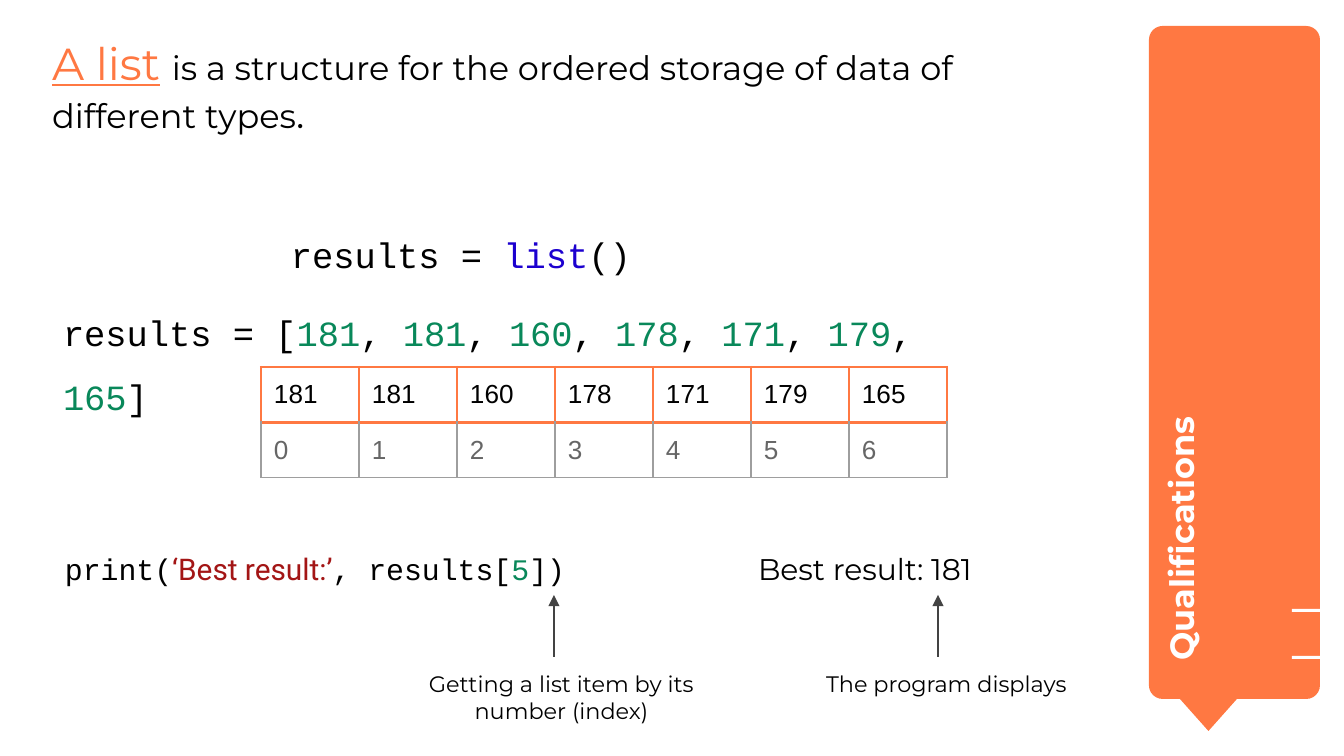
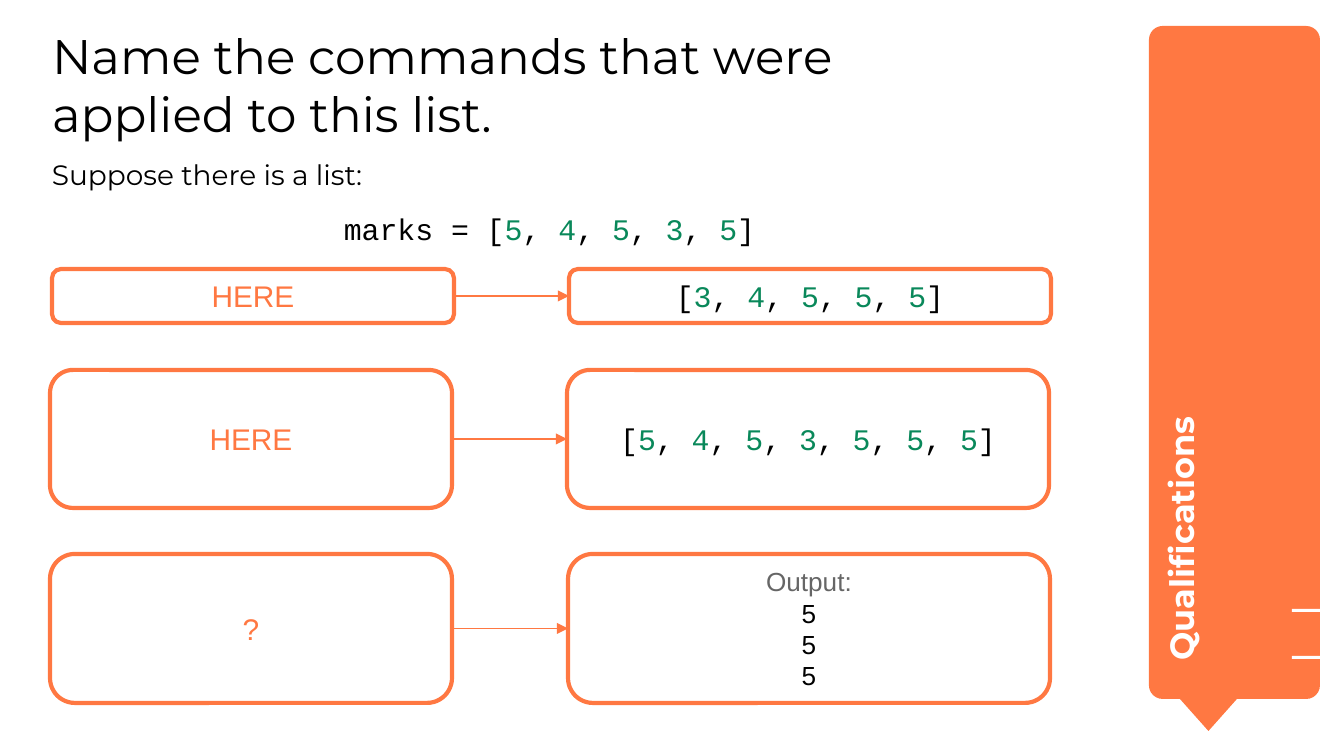
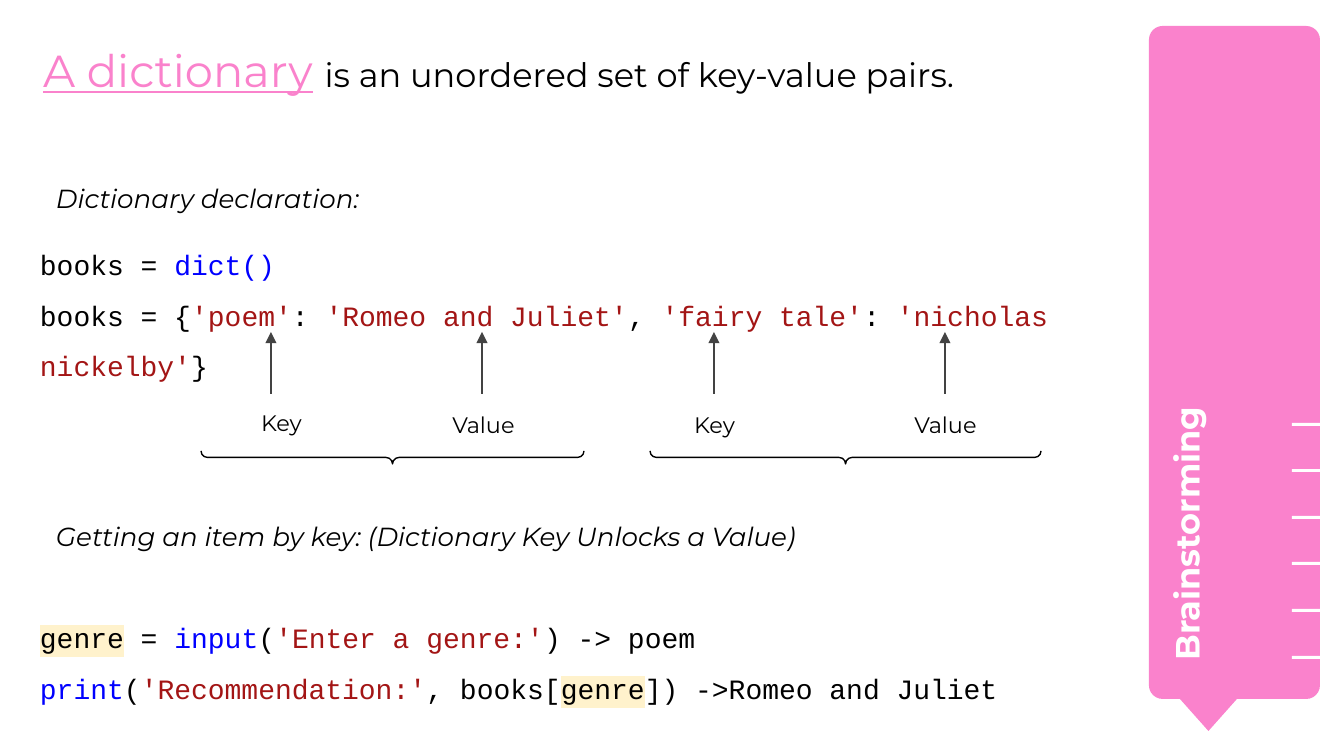
from dataclasses import dataclass, field, replace

from lxml import etree
from pptx import Presentation
from pptx import util as u
from pptx.dml.color import RGBColor
from pptx.enum import shapes, text
from pptx.oxml import ns

SCALE = 914400 / 134.4


@dataclass(frozen=True)
class Theme:
    orange: str = "FF7842"
    pink: str = "FA82CC"
    white: str = "FFFFFF"
    black: str = "000000"
    arrow: str = "434343"
    grid: str = "9E9E9E"
    muted: str = "666666"
    number: str = "09885A"
    string: str = "A31515"
    builtin: str = "1C00CF"
    keyword: str = "0000FF"
    marker: str = "FFF2CC"
    sans: str = "Montserrat"
    plain: str = "Arial"
    mono: str = "Courier New"
    quote: str = "Roboto"
    question: int = 26
    term: int = 24
    full_stop: int = 21
    code_large: int = 19
    body: int = 18
    code: int = 16
    code_small: int = 15
    intro: int = 15
    table: int = 14
    note: int = 14
    caption: int = 12


T = Theme()
INSET = 13
CENTER = text.PP_ALIGN.CENTER
LEFT = text.PP_ALIGN.LEFT


@dataclass(frozen=True)
class Face:
    font: str
    size: int
    color: str = T.black
    bold: bool = False
    italic: bool = False
    underline: bool = False
    highlight: str = ""


@dataclass
class Para:
    runs: list = field(default_factory=list)
    align: object = LEFT
    spacing: float = 1.0
    before: int = 0
    after: int = 0


BODY = Face(T.sans, T.body)
CAPTION = Face(T.sans, T.caption)
NOTE = Face(T.sans, T.note, italic=True)


def px(value):
    return u.Emu(round(value * SCALE))


def box(*values):
    return [px(v) for v in values]


def rgb(color):
    return RGBColor.from_string(color)


def code(size, *pieces):
    face = Face(T.mono, size)
    runs = []
    for piece in pieces:
        if isinstance(piece, str):
            runs.append((piece, face))
        else:
            runs.append((piece[0], replace(face, color=piece[1])))
    return runs


def numbers(*values):
    pieces = ["["]
    for i, value in enumerate(values):
        if i:
            pieces.append(", ")
        pieces.append((str(value), T.number))
    return pieces + ["]"]


def style_run(r, face):
    r.font.size = u.Pt(face.size)
    r.font.bold = face.bold
    r.font.italic = face.italic
    r.font.underline = face.underline
    r.font.color.rgb = rgb(face.color)
    if face.highlight:
        rpr = r.font._element
        mark = etree.Element(ns.qn("a:highlight"))
        etree.SubElement(mark, ns.qn("a:srgbClr"), val=face.highlight)
        rpr.find(ns.qn("a:solidFill")).addnext(mark)
    r.font.name = face.font


def write(tf, paras):
    for i, para in enumerate(paras):
        p = tf.add_paragraph() if i else tf.paragraphs[0]
        p.alignment = para.align
        p.line_spacing = para.spacing
        p.space_before = u.Pt(para.before)
        p.space_after = u.Pt(para.after)
        for words, face in para.runs:
            r = p.add_run()
            r.text = words
            style_run(r, face)


def frame(sp, paras, inset=INSET, anchor=text.MSO_ANCHOR.TOP):
    tf = sp.text_frame
    tf.word_wrap = True
    tf.auto_size = text.MSO_AUTO_SIZE.NONE
    tf.vertical_anchor = anchor
    tf.margin_left = tf.margin_top = tf.margin_right = tf.margin_bottom = px(inset)
    write(tf, paras)


def add_title(slide, place, paras):
    sp = slide.shapes.title
    sp.left, sp.top, sp.width, sp.height = box(*place)
    frame(sp, paras, inset=0)


def add_definition(slide, place, term, color, *rest):
    face = Face(T.sans, T.term)
    runs = [(term, replace(face, color=color, underline=True)), (" ", face), *rest]
    add_title(slide, place, [Para(runs, after=10)])


def add_text(slide, place, *paras):
    sp = slide.shapes.add_textbox(*box(*place))
    frame(sp, paras)
    return sp


def add_code(slide, place, *lines):
    add_text(slide, place, *[Para(runs, spacing=1.5) for runs in lines])


def add_filled(parent, kind, place, color):
    sp = parent.add_shape(kind, *box(*place))
    sp.shadow.inherit = False
    sp.fill.solid()
    sp.fill.fore_color.rgb = rgb(color)
    sp.line.fill.background()
    return sp


def add_band(slide, label, place, color, ticks):
    group = slide.shapes.add_group_shape().shapes
    panel = add_filled(group, shapes.MSO_SHAPE.ROUNDED_RECTANGLE, (1149, 26, 171, 673), color)
    panel.adjustments[0] = 0.08
    add_filled(group, shapes.MSO_SHAPE.FLOWCHART_MERGE, (1164, 681, 89, 50), color)
    first, last, slots = 423, 656, 5
    for i in range(slots + 1 - ticks, slots + 1):
        y = first + (last - first) * i // slots
        add_filled(slide.shapes, shapes.MSO_SHAPE.RECTANGLE, (1292, y, 28, 3), T.white)
    sp = add_text(slide, place, Para([(label, replace(BODY, color=T.white, bold=True))]))
    sp.rotation = 270


def add_arrow(slide, x1, y1, x2, y2, color):
    cn = slide.shapes.add_connector(shapes.MSO_CONNECTOR.STRAIGHT, *box(x1, y1, x2, y2))
    cn.line.color.rgb = rgb(color)
    cn.line.width = u.Pt(0.75)
    etree.SubElement(cn.line._get_or_add_ln(), ns.qn("a:tailEnd"), type="triangle")
    etree.SubElement(cn._element.spPr, ns.qn("a:effectLst"))
    return cn


def add_callout(slide, words, place, arrow_x, arrow_bottom):
    add_text(slide, place, Para([(words, CAPTION)], CENTER))
    add_arrow(slide, arrow_x, arrow_bottom, arrow_x, arrow_bottom - 62, T.arrow)


def add_card(slide, place, *lines):
    sp = add_filled(slide.shapes, shapes.MSO_SHAPE.ROUNDED_RECTANGLE, place, T.white)
    sp.line.color.rgb = rgb(T.orange)
    sp.line.width = u.Pt(2.25)
    frame(sp, [Para(runs, CENTER) for runs in lines], anchor=text.MSO_ANCHOR.MIDDLE)
    return sp


def add_brace(slide, place):
    sp = slide.shapes.add_shape(shapes.MSO_SHAPE.RIGHT_BRACE, *box(*place))
    sp.shadow.inherit = False
    sp.adjustments[0] = sp.adjustments[1] = 0.5
    sp.rotation = 90
    sp.fill.background()
    sp.line.color.rgb = rgb(T.black)
    sp.line.width = u.Pt(0.75)


def set_border(cell, side, color, width):
    ln = etree.SubElement(cell._tc.get_or_add_tcPr(), ns.qn("a:ln" + side), w=str(u.Pt(width)))
    fill = etree.SubElement(ln, ns.qn("a:solidFill"))
    etree.SubElement(fill, ns.qn("a:srgbClr"), val=color)


def add_index_table(slide, left, top, values):
    col, row = 98, 51
    place = box(left, top, col * len(values), row * 2)
    table = slide.shapes.add_table(2, len(values), *place).table
    table.first_row = table.horz_banding = False
    for column in table.columns:
        column.width = px(col)
    heavy, light = (T.orange, 1.5), (T.grid, 0.75)
    rows = ((values, T.black, heavy), (range(len(values)), T.muted, light))
    for i, (items, color, edge) in enumerate(rows):
        for j, item in enumerate(items):
            cell = table.cell(i, j)
            cell.margin_left = cell.margin_right = px(INSET)
            cell.margin_top = cell.margin_bottom = px(INSET)
            for side in "LRTB":
                set_border(cell, side, *(heavy if side == "T" else edge))
            cell.fill.background()
            write(cell.text_frame, [Para([(str(item), Face(T.plain, T.table, color))])])


def build_list_slide(slide):
    scores = (181, 181, 160, 178, 171, 179, 165)
    add_definition(
        slide, (52, 36, 1037, 117), "A list", T.orange,
        ("is a structure for the ordered storage of data of different types", BODY),
        (".", replace(BODY, size=T.full_stop)),
    )
    add_band(slide, "Qualifications", (953, 355, 513, 124), T.orange, 2)
    add_code(slide, (50, 277, 962, 74), code(T.code_large, "results = ", *numbers(*scores)))
    add_index_table(slide, 261, 367, scores)
    quoted = ("‘Best result:’", Face(T.quote, T.code, T.string))
    call = code(T.code, ", results[", ("5", T.number), "])")
    add_code(slide, (52, 520, 614, 74), code(T.code, "print(") + [quoted] + call)
    add_code(slide, (745, 520, 433, 74), [("Best result: 181", Face(T.sans, T.code))])
    for words, left, arrow_x in (
        ("Getting a list item by its number (index)", 380, 554),
        ("The program displays", 765, 938),
    ):
        add_callout(slide, words, (left, 657, 363, 74), arrow_x, 657)
    add_code(slide, (278, 199, 441, 63),
             code(T.code_large, "results = ", ("list", T.builtin), "()"))


def build_commands_slide(slide):
    face = Face(T.sans, T.question)
    lines = ("Name the commands that were", "applied to this list.")
    add_title(slide, (52, 26, 1062, 128), [Para([(line, face)]) for line in lines])
    add_band(slide, "Qualifications", (953, 355, 513, 124), T.orange, 2)
    add_text(
        slide, (39, 145, 1021, 71),
        Para([("Suppose there is a list:", Face(T.sans, T.intro))]),
        Para(code(T.code, "marks = ", *numbers(5, 4, 5, 3, 5)), CENTER, before=10),
    )
    output = [[("Output:", Face(T.plain, T.table, T.muted))]]
    output += [[("5", Face(T.plain, T.table))]] * 3
    steps = (
        ("HERE", 52, 569, 269, 54, [code(T.code, *numbers(3, 4, 5, 5, 5))]),
        ("HERE", 50, 567, 370, 138, [code(T.code, *numbers(5, 4, 5, 3, 5, 5, 5))]),
        ("?", 50, 568, 554, 149, output),
    )
    for prompt, left, right, top, height, result in steps:
        question = [(prompt, Face(T.plain, T.code, T.orange))]
        source = add_card(slide, (left, top, 402, height), question)
        target = add_card(slide, (right, top, 482, height), *result)
        middle = top + height // 2
        cn = add_arrow(slide, left + 402, middle, right, middle, T.orange)
        cn.begin_connect(source, 3)
        cn.end_connect(target, 1)


def build_dictionary_slide(slide):
    add_definition(
        slide, (43, 43, 1037, 117), "A dictionary", T.pink,
        ("is an unordered set of key-value pairs.", BODY),
    )
    add_band(slide, "Brainstorming", (960, 390, 476, 90), T.pink, 6)
    size = T.code_small
    add_code(
        slide, (27, 218, 1037, 172),
        code(size, "books = ", ("dict()", T.keyword)),
        code(size, "books = {", ("'poem'", T.string), ": ", ("'Romeo and Juliet'", T.string),
             ", ", ("'fairy tale'", T.string), ": ", ("'nicholas nickelby'", T.string), "}"),
    )
    for words, top in (
        ("Dictionary declaration:", 169),
        ("Getting an item by key: (Dictionary Key Unlocks a Value)", 507),
    ):
        add_text(slide, (43, top, 1037, 40), Para([(words, NOTE)]))
    genre = [("genre", Face(T.mono, size, highlight=T.marker))]
    add_code(
        slide, (27, 591, 990, 129),
        genre + code(size, " = ", ("input", T.keyword), "(", ("'Enter a genre:'", T.string),
                     ") -> poem"),
        code(size, ("print", T.keyword), "(", ("'Recommendation:'", T.string), ", books[")
        + genre + code(size, "]) ->Romeo and Juliet"),
    )
    for words, left, top, arrow_x in (
        ("Key", 204, 396, 271),
        ("Value", 406, 398, 482),
        ("Key", 637, 398, 714),
        ("Value", 868, 398, 945),
    ):
        add_callout(slide, words, (left, top, 155, 52), arrow_x, 394)
    add_brace(slide, (386, 266, 13, 383))
    add_brace(slide, (839, 262, 13, 391))


def main():
    prs = Presentation()
    prs.slide_width, prs.slide_height = box(1344, 756)
    for build in (build_list_slide, build_commands_slide, build_dictionary_slide):
        build(prs.slides.add_slide(prs.slide_layouts[5]))
    prs.save("out.pptx")


if __name__ == "__main__":
    main()
